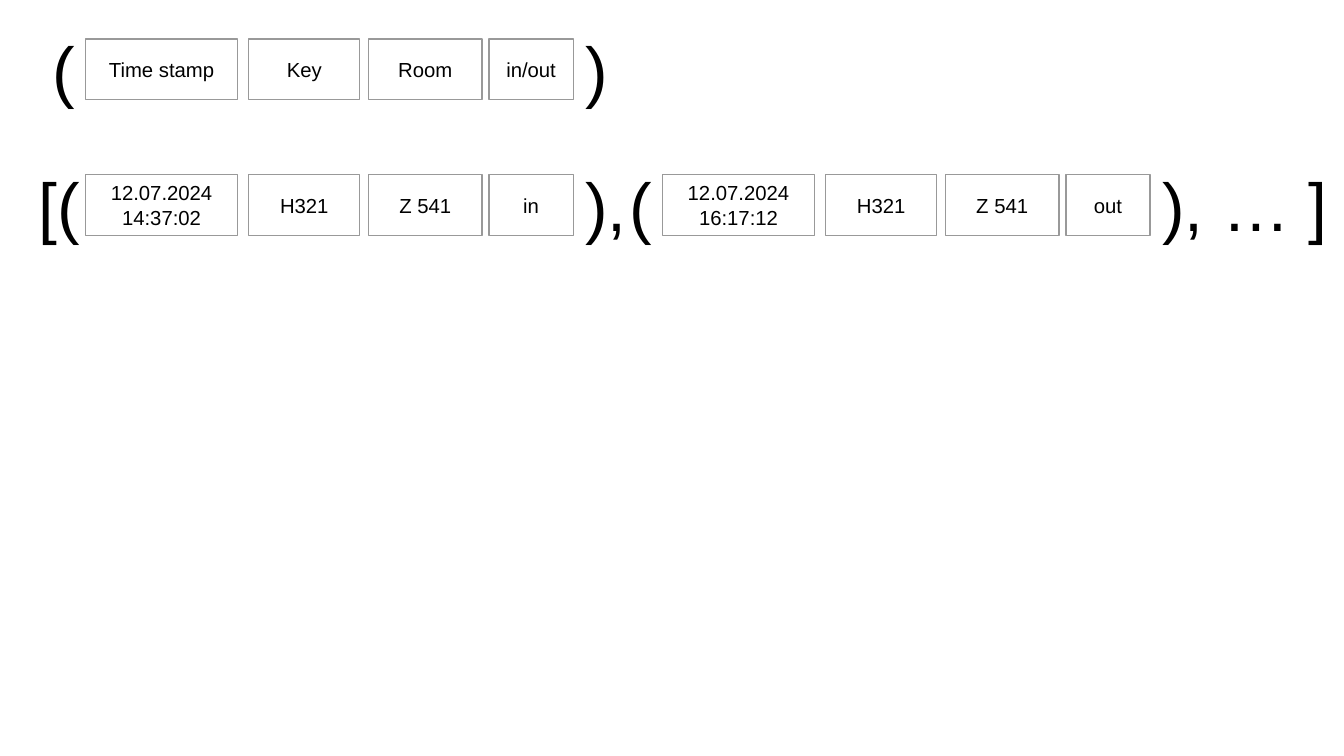
from pptx import Presentation
from pptx.dml.color import RGBColor
from pptx.enum.shapes import MSO_SHAPE
from pptx.enum.text import MSO_ANCHOR, PP_ALIGN
from pptx.util import Pt

BLACK = RGBColor(0x00, 0x00, 0x00)
GREY = RGBColor(0x99, 0x99, 0x99)

# Fields of a record: left within the record, width
FIELDS = [(0, 90), (96.5, 65.5), (167.2, 67), (238.3, 49.7)]
HIGH = 36

# Records: left, top, values
RECORDS = [
    (50.4, 23, ["Time stamp", "Key", "Room", "in/out"]),
    (50.4, 103, ["12.07.2024 14:37:02", "H321", "Z 541", "in"]),
    (391, 103, ["12.07.2024 16:17:12", "H321", "Z 541", "out"]),
]

# Brackets: left, record top, width, text
MARKS = [
    (23.8, 23, 36, "("),
    (338.4, 23, 36, ")"),
    (15.8, 103, 44, "[("),
    (338.4, 103, 48, "),"),
    (364.3, 103, 36, "("),
    (679, 103, 183.6, "), … ]"),
]
MARK_RISE, MARK_HIGH = 10.1, 52

FIELD_FONT = {"name": "Arial", "size": Pt(12)}
MARK_FONT = {"name": "Arial", "size": Pt(40)}


def write(shape, text, font, align, anchor):
    frame = shape.text_frame
    frame.word_wrap = True
    frame.vertical_anchor = anchor
    para = frame.paragraphs[0]
    para.alignment = align
    run = para.add_run()
    run.text = text
    for key, value in font.items():
        setattr(run.font, key, value)
    run.font.color.rgb = BLACK


def add_field(shapes, left, top, width, text):
    box = shapes.add_shape(MSO_SHAPE.RECTANGLE, Pt(left), Pt(top), Pt(width), Pt(HIGH))
    box.shadow.inherit = False
    box.fill.background()
    box.line.color.rgb = GREY
    box.line.width = Pt(0)
    write(box, text, FIELD_FONT, PP_ALIGN.CENTER, MSO_ANCHOR.MIDDLE)


def add_mark(shapes, left, top, width, text):
    box = shapes.add_textbox(Pt(left), Pt(top - MARK_RISE), Pt(width), Pt(MARK_HIGH))
    write(box, text, MARK_FONT, PP_ALIGN.LEFT, MSO_ANCHOR.TOP)


def main():
    deck = Presentation()
    deck.slide_width, deck.slide_height = Pt(793.44), Pt(446.4)
    shapes = deck.slides.add_slide(deck.slide_layouts[6]).shapes
    for left, top, values in RECORDS:
        for (shift, width), text in zip(FIELDS, values):
            add_field(shapes, left + shift, top, width, text)
    for mark in MARKS:
        add_mark(shapes, *mark)
    deck.save("out.pptx")


if __name__ == "__main__":
    main()
